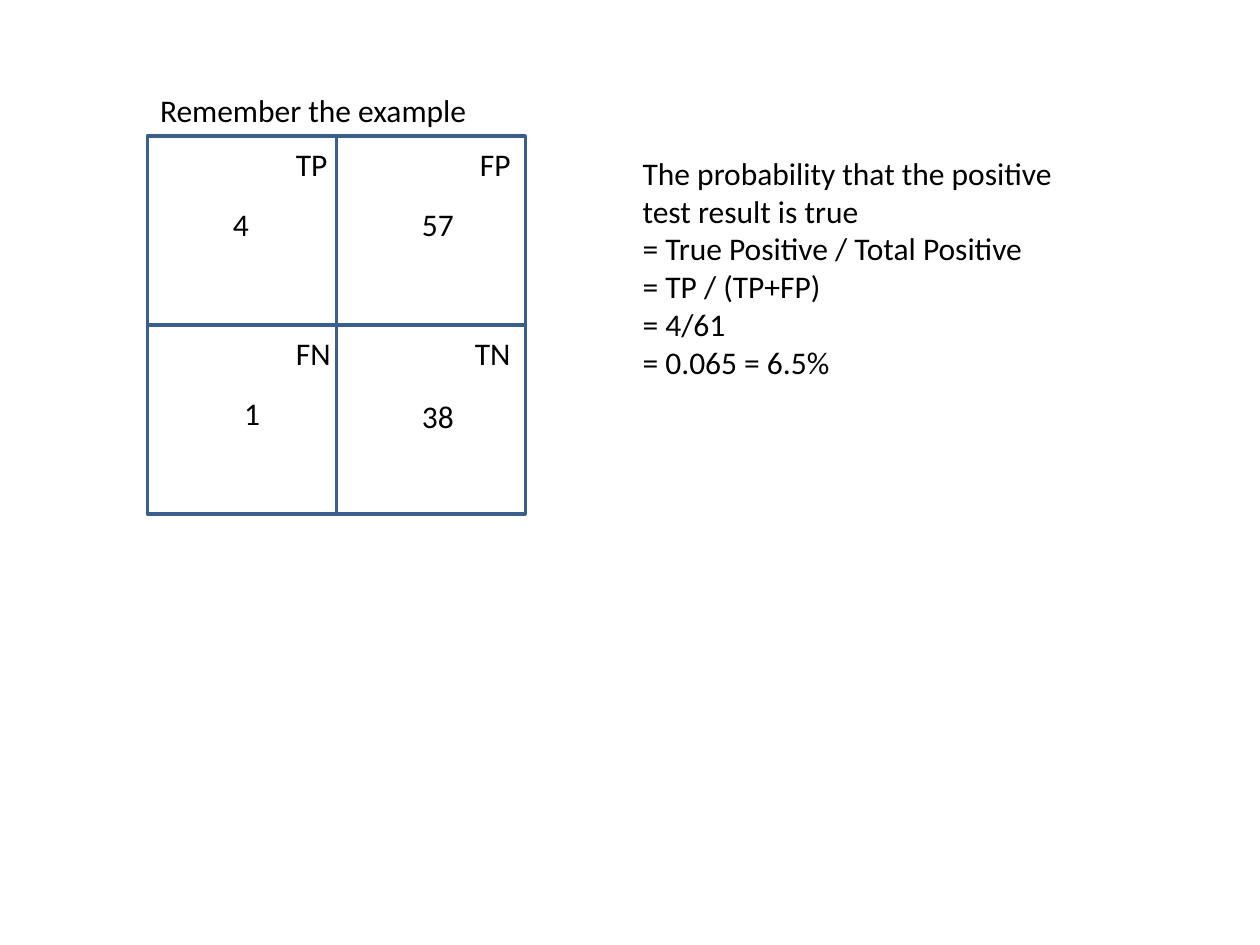
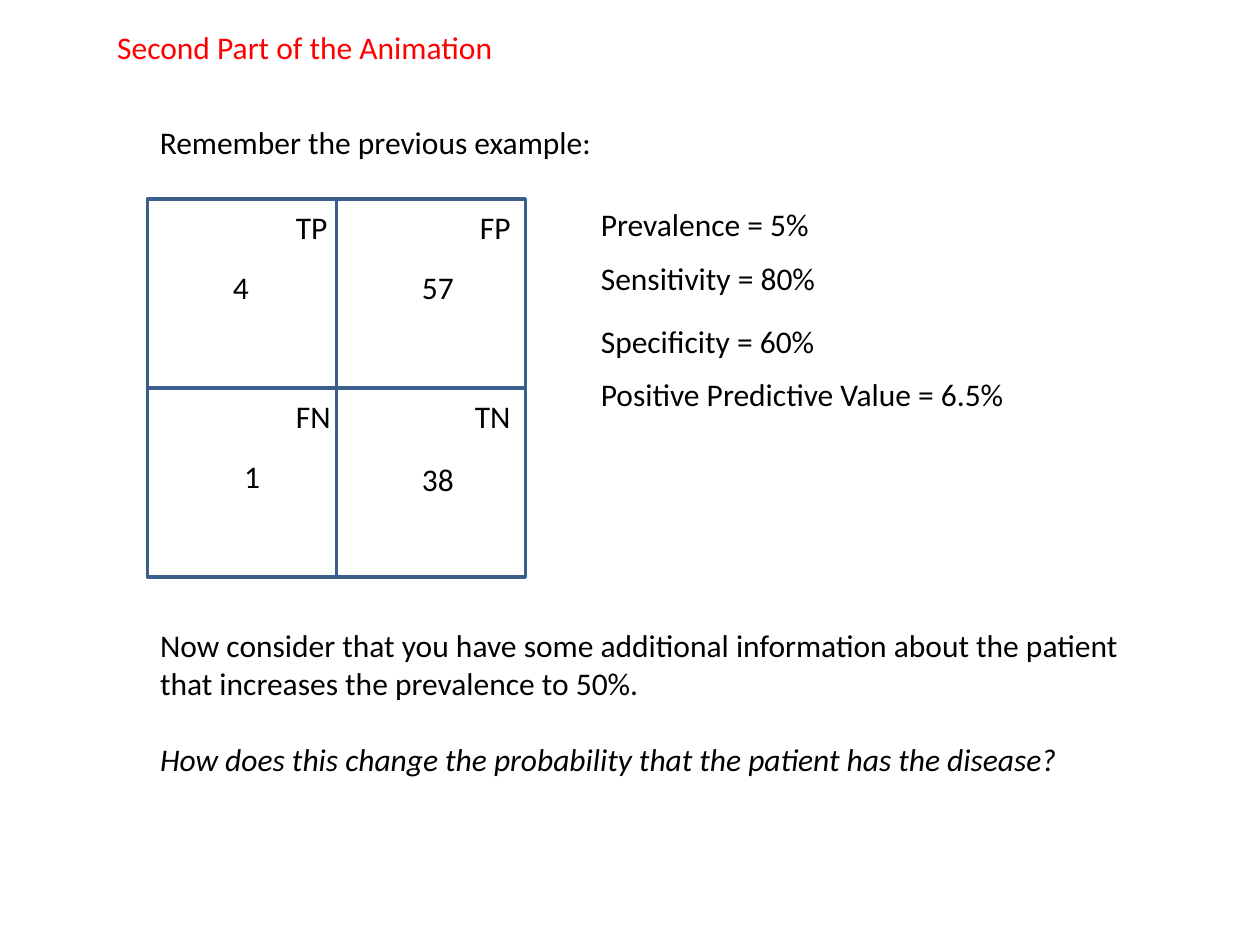
"""Build two slides that explain predictive value with a two-by-two matrix."""
from dataclasses import dataclass

from pptx import Presentation
from pptx.dml.color import RGBColor
from pptx.enum.shapes import MSO_SHAPE as Preset
from pptx.enum.text import MSO_ANCHOR as Anchor, MSO_AUTO_SIZE as AutoSize, PP_ALIGN as Align
from pptx.oxml.ns import qn
from pptx.shapes.base import BaseShape
from pptx.slide import Slide
from pptx.text.text import TextFrame
from pptx.util import Inches, Pt

BLACK = RGBColor(0x00, 0x00, 0x00)
WHITE = RGBColor(0xFF, 0xFF, 0xFF)
RED = RGBColor(0xFF, 0x00, 0x00)
BLUE = RGBColor(0x3A, 0x5F, 0x8C)
FONT = "Calibri"
TEXT_SIZE = Pt(18)
LINE_WIDTH = Pt(2)
ROW_HEIGHT = 0.4
CELL_SIZE = 1.5
MATRIX_LEFT = 1.17
TITLE_WIDTH = 7.83


@dataclass(frozen=True)
class Area:
    left: float
    top: float
    width: float
    height: float = ROW_HEIGHT


@dataclass(frozen=True)
class Line:
    text: str
    color: RGBColor = BLACK
    italic: bool = False
    space_before: float = 0


@dataclass(frozen=True)
class Label:
    text: str
    dx: float
    dy: float
    width: float


@dataclass(frozen=True)
class Cell:
    column: int
    row: int
    name: Label
    count: Label


CELLS = [
    Cell(0, 0, Label("TP", 1.08, 0.02, 0.45), Label("4", 0.58, 0.5, 0.33)),
    Cell(1, 0, Label("FP", 1.04, 0.02, 0.45), Label("57", 0.58, 0.5, 0.46)),
    Cell(0, 1, Label("FN", 1.08, 0.02, 0.48), Label("1", 0.67, 0.5, 0.33)),
    Cell(1, 1, Label("TN", 1.0, 0.02, 0.49), Label("38", 0.58, 0.52, 0.46)),
]

FORMULA = [
    Line("The probability that the positive test result is true"),
    Line("= True Positive / Total Positive"),
    Line("= TP / (TP+FP)"),
    Line("= 4/61"),
    Line("= 0.065 = 6.5%"),
]

QUESTION = [
    Line("Now consider that you have some additional information about the patient "
         "that increases the prevalence to 50%."),
    Line("How does this change the probability that the patient has the disease?",
         italic=True, space_before=22),
]

MEASURES = [
    ("Prevalence = 5%", Area(4.67, 1.58, 1.87)),
    ("Sensitivity = 80%", Area(4.67, 2.01, 1.92)),
    ("Specificity = 60%", Area(4.67, 2.51, 1.92)),
    ("Positive Predictive Value = 6.5%", Area(4.67, 2.93, 3.44)),
]


def write_lines(frame: TextFrame, lines: list[Line], wrap: bool) -> None:
    """Write each line as one left-aligned paragraph."""
    frame.word_wrap = wrap
    frame.auto_size = AutoSize.SHAPE_TO_FIT_TEXT
    frame.vertical_anchor = Anchor.TOP
    for index, line in enumerate(lines):
        para = frame.paragraphs[0] if index == 0 else frame.add_paragraph()
        para.alignment = Align.LEFT
        para.space_before = Pt(line.space_before)
        span = para.add_run()
        span.text = line.text
        span.font.name = FONT
        span.font.size = TEXT_SIZE
        span.font.italic = line.italic
        span.font.color.rgb = line.color


def fill_placeholder(holder: BaseShape, area: Area, lines: list[Line]) -> None:
    """Move a placeholder and write lines without bullets in it."""
    holder.left, holder.top = Inches(area.left), Inches(area.top)
    holder.width, holder.height = Inches(area.width), Inches(area.height)
    write_lines(holder.text_frame, lines, wrap=True)
    for para in holder.text_frame.paragraphs:
        properties = para._p.get_or_add_pPr()
        properties.set("marL", "0")
        properties.set("indent", "0")
        properties.append(properties.makeelement(qn("a:buNone"), {}))


def add_text(page: Slide, text: str, area: Area, wrap: bool = False) -> None:
    """Add a text box with one line of black text."""
    box = page.shapes.add_textbox(Inches(area.left), Inches(area.top),
                                  Inches(area.width), Inches(area.height))
    write_lines(box.text_frame, [Line(text)], wrap)


def add_matrix(page: Slide, top: float) -> None:
    """Draw the four outcome squares with their names and counts."""
    for cell in CELLS:
        x = MATRIX_LEFT + cell.column * CELL_SIZE
        y = top + cell.row * CELL_SIZE
        square = page.shapes.add_shape(Preset.RECTANGLE, Inches(x), Inches(y),
                                       Inches(CELL_SIZE), Inches(CELL_SIZE))
        square.shadow.inherit = False
        square.fill.solid()
        square.fill.fore_color.rgb = WHITE
        square.line.color.rgb = BLUE
        square.line.width = LINE_WIDTH
    for cell in CELLS:
        x = MATRIX_LEFT + cell.column * CELL_SIZE
        y = top + cell.row * CELL_SIZE
        for label in (cell.name, cell.count):
            add_text(page, label.text, Area(x + label.dx, y + label.dy, label.width))


def add_page(deck: Presentation, title: Line, title_area: Area,
             body: list[Line], body_area: Area, matrix_top: float) -> Slide:
    """Add a slide with a title, body text and the matrix."""
    page = deck.slides.add_slide(deck.slide_layouts[1])
    fill_placeholder(page.shapes.title, title_area, [title])
    fill_placeholder(page.placeholders[1], body_area, body)
    add_matrix(page, matrix_top)
    return page


def build() -> None:
    """Build and save the deck."""
    deck = Presentation()
    deck.slide_width, deck.slide_height = Inches(10), Inches(7.5)
    add_page(deck, Line("Remember the example"), Area(MATRIX_LEFT, 0.67, TITLE_WIDTH),
             FORMULA, Area(5, 1.17, 3.75, 1.92), matrix_top=1.08)
    page = add_page(deck, Line("Second Part of the Animation", RED),
                    Area(0.83, 0.17, TITLE_WIDTH),
                    QUESTION, Area(MATRIX_LEFT, 4.92, TITLE_WIDTH, 1.31), matrix_top=1.58)
    add_text(page, "Remember the previous example:",
             Area(MATRIX_LEFT, 0.93, TITLE_WIDTH), wrap=True)
    for text, area in MEASURES:
        add_text(page, text, area)
    deck.save("out.pptx")


build()
